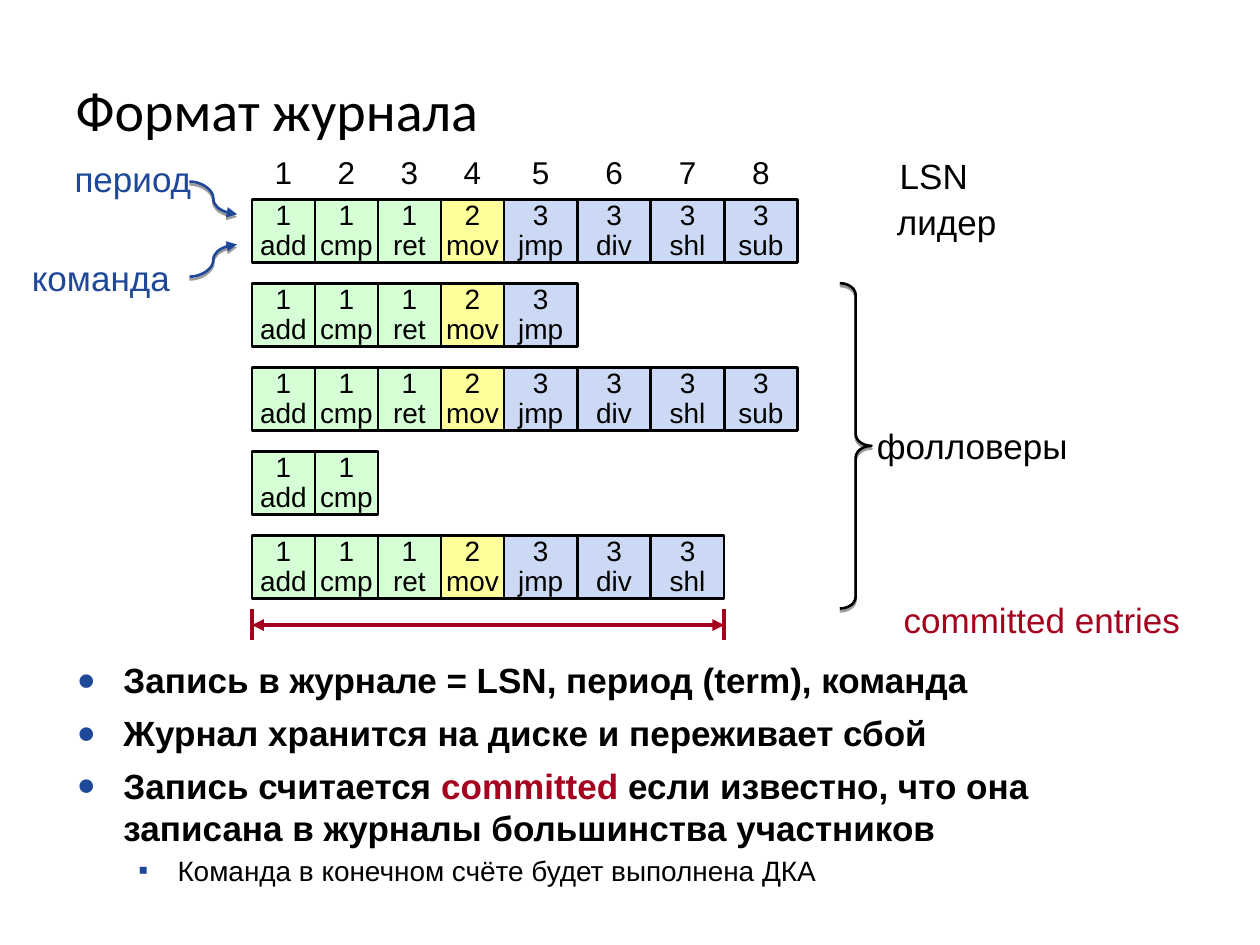
from lxml import etree
from pptx import Presentation
from pptx.dml.color import RGBColor as RGB
from pptx.enum.shapes import MSO_CONNECTOR as LINK, MSO_SHAPE as SHAPE
from pptx.enum.text import MSO_ANCHOR as ANCHOR, MSO_AUTO_SIZE as FIT, PP_ALIGN as ALIGN
from pptx.oxml.ns import qn
from pptx.util import Cm, Pt

HUES = {"ink": "000000", "blue": "1F4899", "red": "A5001E",
        "green": "D5FFD5", "yellow": "FFFF9B", "sky": "CCD9F4"}


def paint(par, size, hue="ink", font="Arial", bold=False):
    for run in par.runs:
        run.font.size, run.font.name, run.font.bold = Pt(size), font, bold
        run.font.color.rgb = RGB.from_string(HUES[hue])


def stroke(item, hue, width, shade=False, ends=()):
    item.line.color.rgb = RGB.from_string(HUES[hue])
    item.line.width = Pt(width)
    for end in ends:
        etree.SubElement(item.line._get_or_add_ln(), qn(f"a:{end}"), type="triangle")
    props = item._element.spPr
    for old in props.findall(qn("a:effectLst")):
        props.remove(old)
    effect = etree.SubElement(props, qn("a:effectLst"))
    if shade:
        cast = etree.SubElement(effect, qn("a:outerShdw"), blurRad="0",
                                dist=str(Pt(1.6)), dir="5400000", rotWithShape="0")
        tint = etree.SubElement(cast, qn("a:srgbClr"), val=HUES["ink"])
        etree.SubElement(tint, qn("a:alpha"), val="38000")


deck = Presentation()
deck.slide_width, deck.slide_height = Cm(25.4), Cm(19.05)
slide = deck.slides.add_slide(deck.slide_layouts[5])
shapes = slide.shapes

# Title
title = shapes.title
title.left, title.top, title.width, title.height = Cm(1.27), Cm(1.35), Cm(22.86), Cm(1.7)
title.text_frame.text = "Формат журнала"
title.text_frame.vertical_anchor = ANCHOR.MIDDLE
title.text_frame.paragraphs[0].alignment = ALIGN.LEFT
paint(title.text_frame.paragraphs[0], 32, font="Calibri")

# Log grid: narrow columns first, then wide ones
LEFT, TOP, SIDE, WIDE, STEP = 5.08, 4.02, 1.27, 1.48, 5.08 / 3
log = [(1, "add"), (1, "cmp"), (1, "ret"), (2, "mov"),
       (3, "jmp"), (3, "div"), (3, "shl"), (3, "sub")]
fills = {1: "green", 2: "yellow", 3: "sky"}
widths = [SIDE] * 4 + [WIDE] * 4
lefts = [LEFT + sum(widths[:i]) for i in range(len(log))]

# Column numbers
for i, (x, w) in enumerate(zip(lefts, widths), 1):
    frame = shapes.add_textbox(Cm(x), Cm(2.97), Cm(w), Cm(1.02)).text_frame
    frame.word_wrap = True
    frame.text = str(i)
    frame.paragraphs[0].alignment = ALIGN.CENTER
    paint(frame.paragraphs[0], 18)

# Leader log, then the followers
for row, count in enumerate([8, 5, 8, 2, 7]):
    for (term, code), x, w in list(zip(log, lefts, widths))[:count]:
        cell = shapes.add_shape(SHAPE.RECTANGLE, Cm(x), Cm(TOP + row * STEP),
                                Cm(w), Cm(SIDE))
        cell.fill.solid()
        cell.fill.fore_color.rgb = RGB.from_string(HUES[fills[term]])
        stroke(cell, "ink", 1.5)
        frame = cell.text_frame
        frame.margin_left = frame.margin_right = 0
        frame.margin_top = frame.margin_bottom = 0
        frame.vertical_anchor = ANCHOR.MIDDLE
        par = frame.paragraphs[0]
        par.text = f"{term}\v{code}"
        par.alignment, par.line_spacing = ALIGN.CENTER, Pt(17)
        paint(par, 16)

# Labels, each box a little wider than its text
for text, x, y, w, hue in [("лидер", 17.98, 4.04, 2.21, "ink"),
                           ("LSN", 18.04, 3.12, 1.57, "ink"),
                           ("фолловеры", 17.58, 8.56, 4.04, "ink"),
                           ("committed entries", 18.11, 12.07, 5.79, "red"),
                           ("период", 1.4, 3.18, 2.56, "blue"),
                           ("команда", 0.54, 5.18, 2.99, "blue")]:
    frame = shapes.add_textbox(Cm(x), Cm(y), Cm(w), Cm(0.84)).text_frame
    frame.margin_left = frame.margin_right = 0
    frame.margin_top = frame.margin_bottom = 0
    frame.word_wrap, frame.auto_size = False, FIT.SHAPE_TO_FIT_TEXT
    frame.text = text
    frame.paragraphs[0].alignment = ALIGN.CENTER
    paint(frame.paragraphs[0], 20, hue)

# Brace around the followers
brace = shapes.add_shape(SHAPE.RIGHT_BRACE, Cm(16.93), Cm(5.71), Cm(0.64), Cm(6.56))
brace.adjustments[0], brace.adjustments[1] = 0.372, 0.5
brace.fill.background()
stroke(brace, "ink", 1.5, shade=True)

# Committed range
right = lefts[7]
for x1, y1, x2, y2, ends in [(LEFT, 12.27, LEFT, 12.9, ()),
                             (right, 12.27, right, 12.9, ()),
                             (LEFT, 12.6, right, 12.6, ("headEnd", "tailEnd"))]:
    bar = shapes.add_connector(LINK.STRAIGHT, Cm(x1), Cm(y1), Cm(x2), Cm(y2))
    stroke(bar, "red", 2.24, ends=ends)

# Curved pointers to the first entry
for y1, y2 in [(3.66, 4.32), (5.58, 4.93)]:
    curve = shapes.add_connector(LINK.CURVE, Cm(3.82), Cm(y1), Cm(4.78), Cm(y2))
    stroke(curve, "blue", 1.5, shade=True, ends=("tailEnd",))

# Bullets: level, runs with their hues
points = [(0, [("Запись в журнале = LSN, период (term), команда", "ink")]),
          (0, [("Журнал хранится на диске и переживает сбой", "ink")]),
          (0, [("Запись считается ", "ink"), ("committed", "red"),
               (" если известно, что она записана в журналы "
                "большинства участников", "ink")]),
          (1, [("Команда в конечном счёте будет выполнена ДКА", "ink")])]
# Per level: size, space before, indent, hang, bullet, bullet size
looks = [(20, 6, 0.97, 0.94, "●", "90000"), (16, 3, 2.06, 0.79, "▪", "100000")]
frame = shapes.add_textbox(Cm(1.27), Cm(13.16), Cm(22.86), Cm(4.01)).text_frame
frame.word_wrap = True
for i, (level, runs) in enumerate(points):
    size, gap, indent, hang, mark, scale = looks[level]
    par = frame.add_paragraph() if i else frame.paragraphs[0]
    par.level, par.space_before = level, Pt(gap)
    for text, hue in runs:
        par.add_run().text = text
    paint(par, size, bold=level == 0)
    for run, (text, hue) in zip(par.runs, runs):
        run.font.color.rgb = RGB.from_string(HUES[hue])
    props = par._p.get_or_add_pPr()
    props.set("marL", str(Cm(indent)))
    props.set("indent", str(-Cm(hang)))
    tint = etree.SubElement(props, qn("a:buClr"))
    etree.SubElement(tint, qn("a:srgbClr"), val=HUES["blue"])
    etree.SubElement(props, qn("a:buSzPct"), val=scale)
    etree.SubElement(props, qn("a:buFont"), typeface="Arial")
    etree.SubElement(props, qn("a:buChar"), char=mark)

deck.save("out.pptx")
